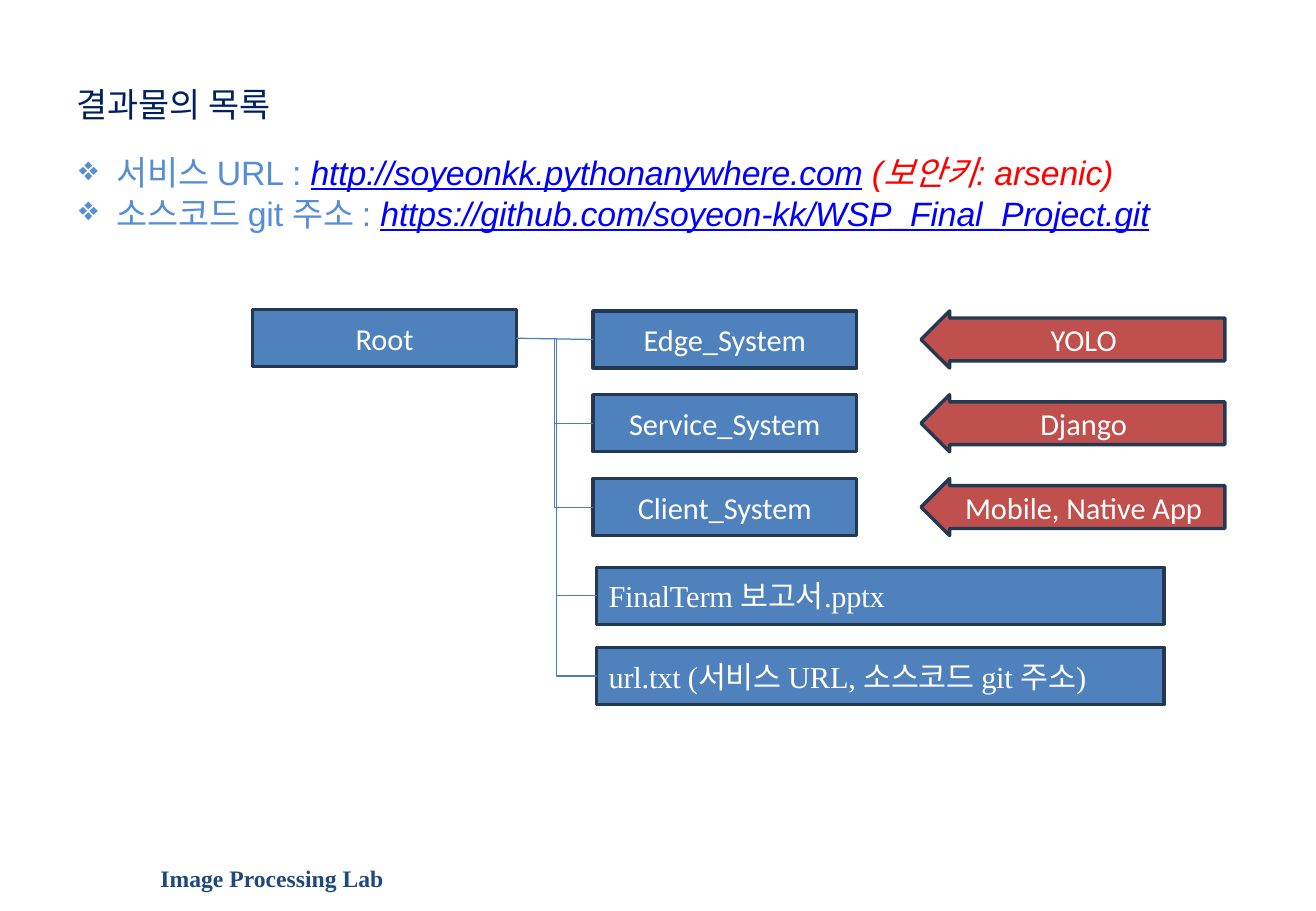
from dataclasses import dataclass

from lxml import etree
from pptx import Presentation
from pptx.dml.color import RGBColor
from pptx.enum.shapes import MSO_CONNECTOR, MSO_SHAPE
from pptx.enum.text import MSO_ANCHOR, PP_ALIGN
from pptx.oxml.ns import qn
from pptx.util import Inches, Pt


@dataclass(frozen=True)
class Theme:
    navy: str = "002060"
    footer: str = "1F497D"
    label: str = "558ED5"
    link: str = "0000FF"
    key: str = "FF0000"
    box: str = "4F81BD"
    arrow: str = "C0504D"
    border: str = "233953"
    wire: str = "4B7EBC"
    white: str = "FFFFFF"
    serif: str = "Times New Roman"
    sans: str = "Arial"
    diagram: str = "Calibri"
    text_size: int = 20
    box_size: int = 18
    footer_size: int = 14


T = Theme()


def add_run(p, text, size, font, color, tight=False, **style):
    r = p.add_run()
    r.text = text
    r.font.size = Pt(size)
    r.font.name = font
    r.font.color.rgb = RGBColor.from_string(color)
    for name, value in style.items():
        setattr(r.font, name, value)
    if tight:
        r.font._element.set("spc", "-10")


def add_text(s, x, y, w, h):
    tf = s.shapes.add_textbox(Inches(x), Inches(y), Inches(w), Inches(h)).text_frame
    tf.word_wrap = True
    tf.margin_left = tf.margin_right = tf.margin_bottom = 0
    tf.margin_top = Inches(0.02)
    return tf


def add_bullet(p):
    pPr = p._p.get_or_add_pPr()
    pPr.set("marL", str(Inches(0.33)))
    pPr.set("indent", str(Inches(-0.31)))
    etree.SubElement(pPr, qn("a:buChar")).set("char", "❖")
    tabs = etree.SubElement(pPr, qn("a:tabLst"))
    tab = etree.SubElement(tabs, qn("a:tab"))
    tab.set("pos", str(Inches(0.33)))
    tab.set("algn", "l")


def add_box(s, x, y, w, text, kind=MSO_SHAPE.RECTANGLE, fill=T.box,
            font=T.diagram, align=PP_ALIGN.CENTER):
    sp = s.shapes.add_shape(kind, Inches(x), Inches(y), Inches(w), Inches(0.47))
    sp.shadow.inherit = False
    sp.fill.solid()
    sp.fill.fore_color.rgb = RGBColor.from_string(fill)
    sp.line.color.rgb = RGBColor.from_string(T.border)
    sp.line.width = Pt(2)
    tf = sp.text_frame
    tf.word_wrap = True
    tf.vertical_anchor = MSO_ANCHOR.MIDDLE
    p = tf.paragraphs[0]
    p.alignment = align
    add_run(p, text, T.box_size, font, T.white, tight=font == T.serif)
    return sp


def add_wire(s, start, end, kind=MSO_CONNECTOR.ELBOW):
    c = s.shapes.add_connector(kind, 0, 0, 0, 0)
    c.begin_connect(start, 3)
    c.end_connect(end, 1)
    c.line.color.rgb = RGBColor.from_string(T.wire)
    c.line.width = Pt(0.75)
    etree.SubElement(c._element.spPr, qn("a:effectLst"))


def add_headings(s):
    p = add_text(s, 1.32, 7.09, 1.87, 0.26).paragraphs[0]
    add_run(p, "Image Processing Lab", T.footer_size, T.serif, T.footer, bold=True)

    p = add_text(s, 0.63, 0.67, 2.87, 0.35).paragraphs[0]
    add_run(p, "결과물의 목록", T.text_size, T.serif, T.navy)


def add_links(s):
    tf = add_text(s, 0.63, 1.23, 9.46, 0.7)
    links = [
        ("서비스 URL : ", "http://soyeonkk.pythonanywhere.com", " (보안키: arsenic)"),
        ("소스코드 git 주소 : ",
         "https://github.com/soyeon-kk/WSP_Final_Project.git", ""),
    ]
    for i, (label, url, key) in enumerate(links):
        p = tf.add_paragraph() if i else tf.paragraphs[0]
        add_bullet(p)
        add_run(p, label, T.text_size, T.sans, T.label, tight=True)
        add_run(p, url, T.text_size, T.sans, T.link, tight=True,
                italic=True, underline=True)
        if key:
            add_run(p, key, T.text_size, T.sans, T.key, tight=True, italic=True)


def add_tree(s):
    root = add_box(s, 2.08, 2.55, 2.17, "Root")

    # Systems and the technology behind each
    systems = [("Edge_System", "YOLO"), ("Service_System", "Django"),
               ("Client_System", "Mobile, Native App")]
    for i, (system, tech) in enumerate(systems):
        y = 2.56 + 0.69 * i
        box = add_box(s, 4.88, y, 2.17, system)
        add_wire(s, root, box, MSO_CONNECTOR.ELBOW if i else MSO_CONNECTOR.STRAIGHT)
        arrow = add_box(s, 7.58, y, 2.5, tech, MSO_SHAPE.LEFT_ARROW, T.arrow)
        arrow.adjustments[0] = 0.75

    # Files
    files = ["FinalTerm 보고서.pptx", "url.txt (서비스 URL, 소스코드 git 주소)"]
    for i, name in enumerate(files):
        box = add_box(s, 4.91, 4.67 + 0.66 * i, 4.67, name,
                      font=T.serif, align=PP_ALIGN.LEFT)
        add_wire(s, root, box)


def main():
    prs = Presentation()
    prs.slide_width, prs.slide_height = Inches(10.83), Inches(7.5)
    s = prs.slides.add_slide(prs.slide_layouts[6])
    add_headings(s)
    add_links(s)
    add_tree(s)
    prs.save("out.pptx")


if __name__ == "__main__":
    main()
